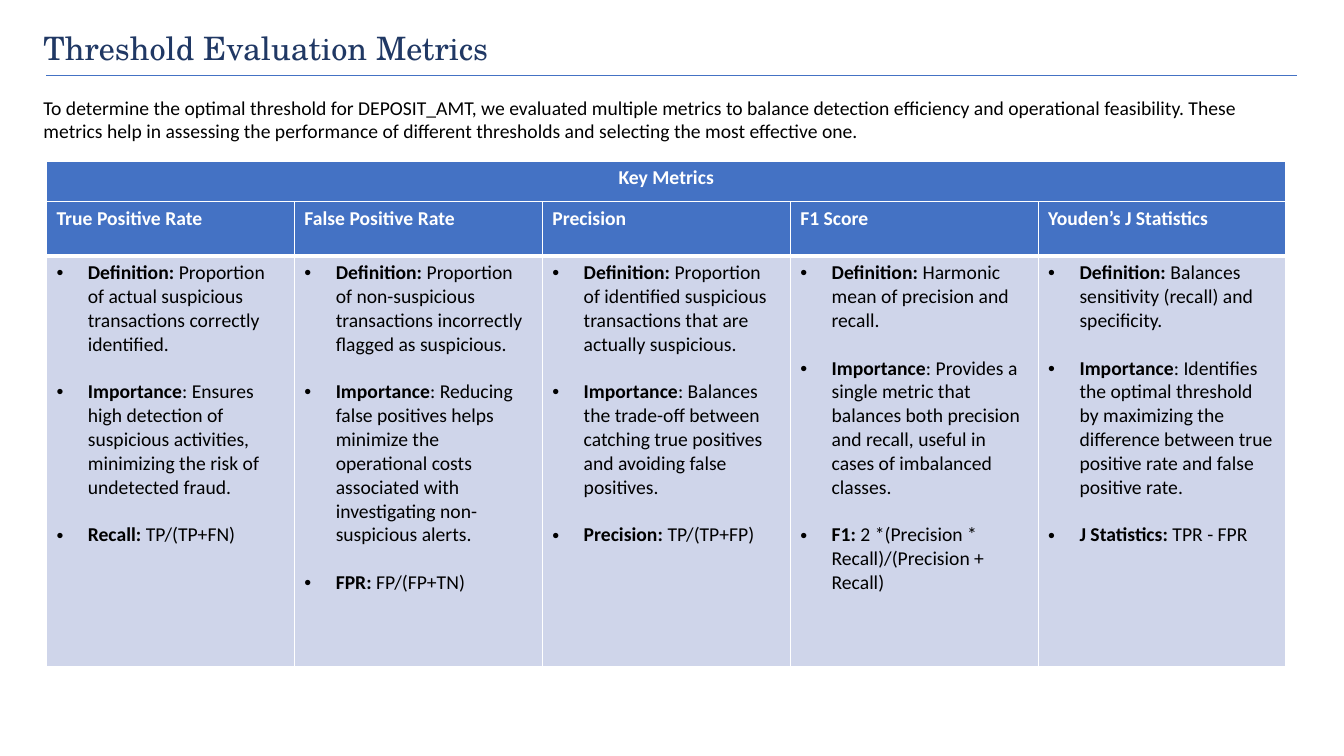
from lxml.etree import SubElement
from pptx import Presentation
from pptx.dml.color import RGBColor
from pptx.enum.shapes import MSO_CONNECTOR as CONN
from pptx.enum.text import MSO_ANCHOR as ANCHOR, MSO_AUTO_SIZE as AUTO, PP_ALIGN as ALIGN
from pptx.oxml.ns import qn
from pptx.util import Cm, Pt

BLUE, PALE, NAVY, WHITE, BLACK = "4472C4", "CFD5EA", "203864", "FFFFFF", "000000"
BODY = {"name": "Calibri", "size": Pt(14), "bold": False}
BOLD = {**BODY, "bold": True}
HEAD = {"name": "TeX Gyre Schola", "size": Pt(23), "bold": False}

TITLE = "Threshold Evaluation Metrics"
INTRO = (
    "To determine the optimal threshold for DEPOSIT_AMT, we evaluated multiple metrics "
    "to balance detection efficiency and operational feasibility. These metrics help in "
    "assessing the performance of different thresholds and selecting the most effective one."
)
METRICS = [
    ("True Positive Rate",
     "Proportion of actual suspicious transactions correctly identified.",
     "Ensures high detection of suspicious activities, minimizing the risk of undetected fraud.",
     "Recall", "TP/(TP+FN)"),
    ("False Positive Rate",
     "Proportion of non-suspicious transactions incorrectly flagged as suspicious.",
     "Reducing false positives helps minimize the operational costs associated with "
     "investigating non-suspicious alerts.",
     "FPR", "FP/(FP+TN)"),
    ("Precision",
     "Proportion of identified suspicious transactions that are actually suspicious.",
     "Balances the trade-off between catching true positives and avoiding false positives.",
     "Precision", "TP/(TP+FP)"),
    ("F1 Score",
     "Harmonic mean of precision and recall.",
     "Provides a single metric that balances both precision and recall, useful in cases "
     "of imbalanced classes.",
     "F1", "2 *(Precision * Recall)/(Precision + Recall)"),
    ("Youden’s J Statistics",
     "Balances sensitivity (recall) and specificity.",
     "Identifies the optimal threshold by maximizing the difference between true positive "
     "rate and false positive rate.",
     "J Statistics", "TPR - FPR"),
]


def rgb(color):
    """Turn a hex string into a colour."""
    return RGBColor.from_string(color)


def apply(obj, values):
    """Set every attribute listed in a dict of values."""
    for name, value in values.items():
        setattr(obj, name, value)


def add_run(p, text, font, color):
    """Append a formatted run to a paragraph."""
    r = p.add_run()
    r.text = text
    apply(r.font, font)
    r.font.color.rgb = rgb(color)


def fill_placeholder(sp, box, text, font, color, anchor, spacing):
    """Move a placeholder to its box and write one plain left-aligned paragraph."""
    apply(sp, dict(zip(("left", "top", "width", "height"), map(Cm, box))))
    tf = sp.text_frame
    apply(tf, {"word_wrap": True, "auto_size": AUTO.NONE, "vertical_anchor": anchor})
    p = tf.paragraphs[0]
    pPr = p._p.get_or_add_pPr()
    pPr.set("marL", "0")
    pPr.set("indent", "0")
    SubElement(pPr, qn("a:buNone"))
    apply(p, {"alignment": ALIGN.LEFT, "space_before": Pt(0), "line_spacing": spacing})
    add_run(p, text, font, color)


def add_rule(s, x, y, width):
    """Draw the thin line under the title."""
    sp = s.shapes.add_connector(CONN.STRAIGHT, Cm(x), Cm(y), Cm(x + width), Cm(y))
    sp.line.width = Pt(1)
    sp.line.color.rgb = rgb(BLUE)
    SubElement(sp._element.spPr, qn("a:effectLst"))


def style_cell(cell, color, bottom, top=1):
    """Give a cell white borders and a solid fill."""
    tcPr = cell._tc.get_or_add_tcPr()
    for side, width in (("L", 1), ("R", 1), ("T", top), ("B", bottom)):
        ln = SubElement(tcPr, qn(f"a:ln{side}"), w=str(Pt(width)))
        SubElement(SubElement(ln, qn("a:solidFill")), qn("a:srgbClr"), val=WHITE)
    cell.fill.solid()
    cell.fill.fore_color.rgb = rgb(color)


def add_bullet(tf, index, label, text):
    """Write a bulleted paragraph with a bold label."""
    p = tf.paragraphs[0] if index == 0 else tf.add_paragraph()
    pPr = p._p.get_or_add_pPr()
    pPr.set("marL", str(Cm(0.79)))
    pPr.set("indent", str(-Cm(0.79)))
    SubElement(pPr, qn("a:buFont"), typeface="Arial")
    SubElement(pPr, qn("a:buChar"), char="•")
    p.space_before = Pt(17 if index else 0)
    add_run(p, label, BOLD, BLACK)
    add_run(p, text, BODY, BLACK)


def add_grid(s, x, y, width, heights, cols):
    """Add an empty table with equal columns and the given row heights."""
    sp = s.shapes.add_table(len(heights), cols, Cm(x), Cm(y), Cm(width), Cm(sum(heights)))
    for row, height in zip(sp.table.rows, heights):
        row.height = Cm(height)
    return sp.table


def add_banner(s, x, y, width, height):
    """Add the one-cell heading above the metrics."""
    cell = add_grid(s, x, y, width, [height], 1).cell(0, 0)
    style_cell(cell, BLUE, 3)
    p = cell.text_frame.paragraphs[0]
    p.alignment = ALIGN.CENTER
    add_run(p, "Key Metrics", BOLD, WHITE)


def add_metrics(s, x, y, width, heights):
    """Add the table with one column for each metric."""
    table = add_grid(s, x, y, width, heights, len(METRICS))
    for col, (name, definition, importance, label, formula) in enumerate(METRICS):
        head, body = table.cell(0, col), table.cell(1, col)
        style_cell(head, BLUE, 3)
        style_cell(body, PALE, 1, top=3)
        add_run(head.text_frame.paragraphs[0], name, BOLD, WHITE)
        points = [("Definition: ", definition), ("Importance", f": {importance}"),
                  (f"{label}: ", formula)]
        for i, point in enumerate(points):
            add_bullet(body.text_frame, i, *point)


def main():
    """Build the slide and save it."""
    prs = Presentation()
    apply(prs, {"slide_width": Cm(33.87), "slide_height": Cm(19.05)})
    s = prs.slides.add_slide(prs.slide_layouts[1])
    title, body = s.placeholders
    add_rule(s, 1.17, 1.91, 31.52)
    fill_placeholder(title, (0.84, 0.56, 27.71, 1.27), TITLE, HEAD, NAVY, ANCHOR.MIDDLE, 1.0)
    fill_placeholder(body, (0.84, 2.32, 31.85, 1.6), INTRO, BODY, BLACK, ANCHOR.TOP, 0.97)
    add_banner(s, 1.17, 4.06, 31.24, 1.04)
    add_metrics(s, 1.17, 5.08, 31.24, [1.37, 10.34])
    prs.save("out.pptx")


if __name__ == "__main__":
    main()
